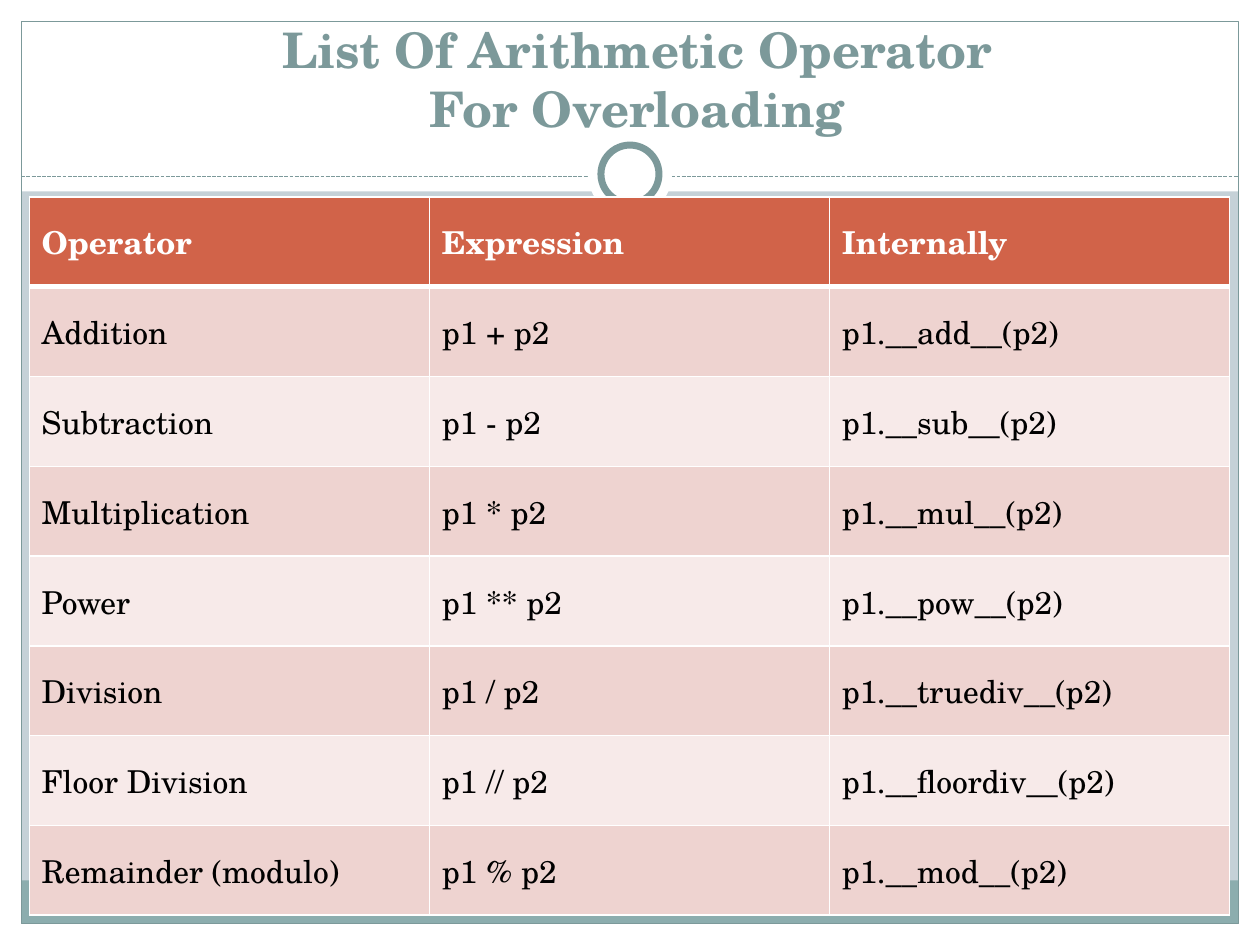
from lxml.etree import SubElement
from pptx import Presentation
from pptx.dml.color import RGBColor
from pptx.enum.dml import MSO_LINE
from pptx.enum.shapes import MSO_CONNECTOR, MSO_SHAPE
from pptx.enum.text import MSO_ANCHOR, PP_ALIGN
from pptx.oxml.ns import qn
from pptx.util import Cm, Pt

COLORS = {
    "background": "C5D1D7",
    "white": "FFFFFF",
    "black": "000000",
    "footer": "8CADAE",
    "accent": "7C999A",
    "header": "D16349",
    "dark_band": "EED3D0",
    "light_band": "F7EAE9",
}
WIDTH, HEIGHT = 25.4, 19.05
MARGIN = 0.43

OPERATORS = [
    ("Addition", "+", "add"),
    ("Subtraction", "-", "sub"),
    ("Multiplication", "*", "mul"),
    ("Power", "**", "pow"),
    ("Division", "/", "truediv"),
    ("Floor Division", "//", "floordiv"),
    ("Remainder (modulo)", "%", "mod"),
]


def color(name):
    return RGBColor.from_string(COLORS[name])


class SlideBuilder:
    font_name = "TeX Gyre Schola"

    def __init__(self, slide):
        self.slide = slide
        fill = slide.background.fill
        fill.solid()
        fill.fore_color.rgb = color("background")

    def shape(self, kind, left, top, width, height, fill=None, line=None, weight=0.75):
        shape = self.slide.shapes.add_shape(kind, Cm(left), Cm(top), Cm(width), Cm(height))
        shape.shadow.inherit = False
        if fill:
            shape.fill.solid()
            shape.fill.fore_color.rgb = color(fill)
        else:
            shape.fill.background()
        if line:
            shape.line.color.rgb = color(line)
            shape.line.width = Pt(weight)
        else:
            shape.line.fill.background()

    def circle(self, center_x, center_y, diameter, **style):
        left, top = center_x - diameter / 2, center_y - diameter / 2
        self.shape(MSO_SHAPE.OVAL, left, top, diameter, diameter, **style)

    def dashed_rule(self, left, right, y):
        rule = self.slide.shapes.add_connector(
            MSO_CONNECTOR.STRAIGHT, Cm(left), Cm(y), Cm(right), Cm(y))
        rule.line.color.rgb = color("accent")
        rule.line.width = Pt(0.75)
        rule.line.dash_style = MSO_LINE.SQUARE_DOT
        SubElement(rule.element.spPr, qn("a:effectLst"))

    def format_text(self, paragraph, size, color_name, bold):
        for span in paragraph.runs:
            span.font.name = self.font_name
            span.font.size = Pt(size)
            span.font.bold = bold
            span.font.color.rgb = color(color_name)

    def title(self, text, left, top, width, height):
        title = self.slide.shapes.title
        title.left, title.top = Cm(left), Cm(top)
        title.width, title.height = Cm(width), Cm(height)
        frame = title.text_frame
        frame.vertical_anchor = MSO_ANCHOR.BOTTOM
        paragraph = frame.paragraphs[0]
        paragraph.text = text
        paragraph.alignment = PP_ALIGN.CENTER
        self.format_text(paragraph, 28, "accent", True)
        # Bring the title in front of the frame
        title.element.getparent().append(title.element)

    def cell_borders(self, cell, top, bottom):
        properties = cell._tc.get_or_add_tcPr()
        for side, weight in (("L", 1), ("R", 1), ("T", top), ("B", bottom)):
            border = SubElement(properties, qn(f"a:ln{side}"), w=str(Pt(weight)))
            fill = SubElement(border, qn("a:solidFill"))
            SubElement(fill, qn("a:srgbClr"), val=COLORS["white"])

    def table(self, rows, left, top, width, height):
        table = self.slide.shapes.add_table(
            len(rows), len(rows[0]), Cm(left), Cm(top), Cm(width), Cm(height)).table
        for row_index, row in enumerate(rows):
            is_header = row_index == 0
            band = "header" if is_header else "dark_band" if row_index % 2 else "light_band"
            for column_index, text in enumerate(row):
                cell = table.cell(row_index, column_index)
                cell.vertical_anchor = MSO_ANCHOR.MIDDLE
                cell.margin_left, cell.margin_right = Cm(0.25), Cm(0.2)
                cell.margin_top = Cm(0.4 if is_header else 0.25)
                cell.margin_bottom = Cm(0.38 if is_header else 0.23)
                self.cell_borders(cell, 3 if row_index == 1 else 1, 3 if is_header else 1)
                cell.fill.solid()
                cell.fill.fore_color.rgb = color(band)
                paragraph = cell.text_frame.paragraphs[0]
                paragraph.text = text
                self.format_text(paragraph, 18, "white" if is_header else "black", is_header)


def main():
    deck = Presentation()
    deck.slide_width, deck.slide_height = Cm(WIDTH), Cm(HEIGHT)
    builder = SlideBuilder(deck.slides.add_slide(deck.slide_layouts[5]))
    inner_width, inner_height = WIDTH - 2 * MARGIN, HEIGHT - 2 * MARGIN

    # White margins and title band
    for area in (
        (0, HEIGHT - MARGIN, WIDTH, MARGIN),
        (0, 0, WIDTH, 3.86),
        (0, 0, MARGIN, HEIGHT),
        (WIDTH - MARGIN, 0, MARGIN, HEIGHT),
    ):
        builder.shape(MSO_SHAPE.RECTANGLE, *area, fill="white")

    # Footer band and outline
    builder.shape(MSO_SHAPE.RECTANGLE, MARGIN, 17.75, inner_width, 0.87, fill="footer")
    builder.shape(MSO_SHAPE.RECTANGLE, MARGIN, MARGIN, inner_width, inner_height, line="accent")

    # Divider with ring
    builder.dashed_rule(MARGIN, WIDTH - MARGIN, 3.56)
    builder.circle(WIDTH / 2, 3.51, 1.7, fill="white")
    builder.circle(WIDTH / 2, 3.51, 1.17, fill="white", line="accent", weight=4)

    # Title
    builder.title("List Of Arithmetic Operator\vFor Overloading", 0.99, 0.79, 23.7, 2.11)

    # Operator table
    rows = [("Operator", "Expression", "Internally")]
    rows += [(name, f"p1 {symbol} p2", f"p1.__{method}__(p2)")
             for name, symbol, method in OPERATORS]
    builder.table(rows, 0.59, 3.97, 24.2, 14.48)

    deck.save("out.pptx")


if __name__ == "__main__":
    main()
